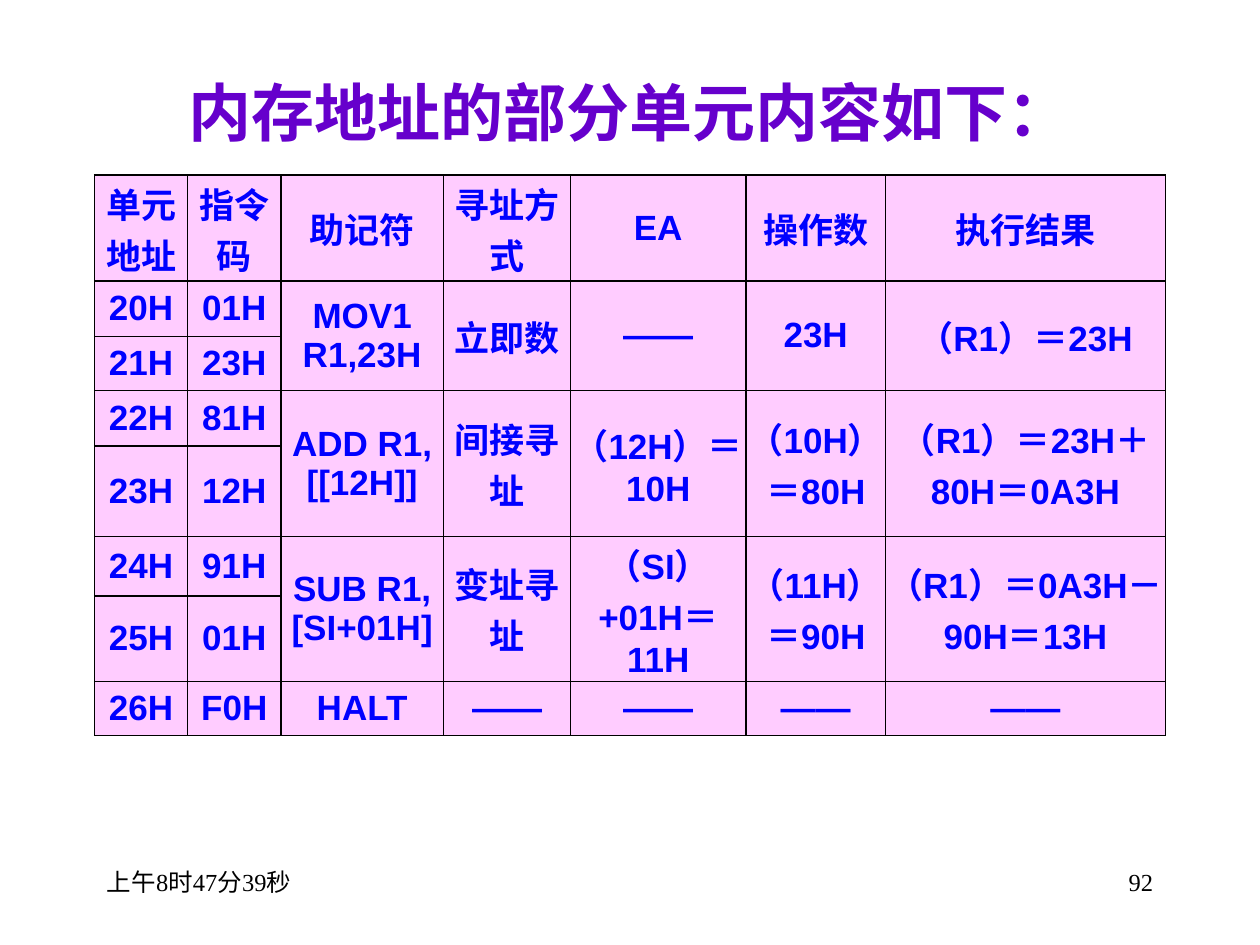
from lxml.etree import SubElement
from pptx import Presentation
from pptx.dml.color import RGBColor
from pptx.enum.text import MSO_ANCHOR, PP_ALIGN
from pptx.oxml.ns import qn
from pptx.util import Inches, Pt

TITLE_FORMAT = {"name": "Times New Roman", "size": Pt(36), "bold": True}
CELL_FORMAT = {"name": "Arial", "size": Pt(20), "bold": True}
FOOTER_FORMAT = {"name": "Times New Roman", "size": Pt(14), "bold": False}
MARGIN = Inches(0.02)
CELL_FRAME = {
    "vertical_anchor": MSO_ANCHOR.MIDDLE,
    "margin_left": MARGIN,
    "margin_right": MARGIN,
    "margin_top": MARGIN,
    "margin_bottom": MARGIN,
}

COLUMN_WIDTHS = [0.74, 0.74, 1.29, 1.01, 1.39, 1.11, 2.22]
ROW_HEIGHTS = [0.84, 0.44, 0.43, 0.44, 0.72, 0.47, 0.68, 0.43]
HEADINGS = ["单元地址", "指令码", "助记符", "寻址方式", "EA", "操作数", "执行结果"]
# Each instruction: its memory bytes, then the columns shared by those bytes.
INSTRUCTIONS = [
    ([("20H", "01H"), ("21H", "23H")],
     ["MOV1 R1,23H", "立即数", "――", "23H", "（R1）＝23H"]),
    ([("22H", "81H"), ("23H", "12H")],
     ["ADD R1, [[12H]]", "间接寻址", "（12H）＝10H", "（10H）＝80H",
      "（R1）＝23H＋80H＝0A3H"]),
    ([("24H", "91H"), ("25H", "01H")],
     ["SUB R1, [SI+01H]", "变址寻址", "（SI）+01H＝11H", "（11H）＝90H",
      "（R1）＝0A3H－90H＝13H"]),
    ([("26H", "F0H")], ["HALT", "――", "――", "――", "――"]),
]


def color(hex_value):
    return RGBColor.from_string(hex_value)


def set_attributes(target, values):
    for name, value in values.items():
        setattr(target, name, value)


def write(frame, text, font_format, hex_value, align):
    paragraph = frame.paragraphs[0]
    paragraph.alignment = align
    run = paragraph.add_run()
    run.text = text
    set_attributes(run.font, font_format)
    run.font.color.rgb = color(hex_value)


def add_text(slide, box, text, font_format, hex_value, align, anchor=MSO_ANCHOR.TOP):
    frame = slide.shapes.add_textbox(*map(Inches, box)).text_frame
    frame.word_wrap = True
    frame.vertical_anchor = anchor
    write(frame, text, font_format, hex_value, align)


def add_borders(cell, hex_value, width):
    properties = cell._tc.get_or_add_tcPr()
    for side in ("a:lnL", "a:lnR", "a:lnT", "a:lnB"):
        line = SubElement(properties, qn(side), w=str(width))
        fill = SubElement(line, qn("a:solidFill"))
        SubElement(fill, qn("a:srgbClr"), val=hex_value)


def write_row(table, row, first_column, texts):
    for column, text in enumerate(texts, first_column):
        write(table.cell(row, column).text_frame, text, CELL_FORMAT,
              "0000FF", PP_ALIGN.CENTER)


def add_memory_table(slide):
    table = slide.shapes.add_table(
        len(ROW_HEIGHTS), len(COLUMN_WIDTHS), Inches(0.75), Inches(1.39),
        Inches(sum(COLUMN_WIDTHS)), Inches(sum(ROW_HEIGHTS))).table
    table.first_row = table.horz_banding = False
    for column, width in zip(table.columns, COLUMN_WIDTHS):
        column.width = Inches(width)
    for row, height in zip(table.rows, ROW_HEIGHTS):
        row.height = Inches(height)
    for cell in table.iter_cells():
        set_attributes(cell, CELL_FRAME)
        add_borders(cell, "000000", Pt(1))
        cell.fill.solid()
        cell.fill.fore_color.rgb = color("FFCCFF")

    write_row(table, 0, 0, HEADINGS)
    row = 1
    for memory_bytes, details in INSTRUCTIONS:
        last_row = row + len(memory_bytes) - 1
        if last_row > row:
            for column in range(2, len(COLUMN_WIDTHS)):
                table.cell(row, column).merge(table.cell(last_row, column))
        write_row(table, row, 2, details)
        for offset, memory_byte in enumerate(memory_bytes):
            write_row(table, row + offset, 0, memory_byte)
        row = last_row + 1


def main():
    presentation = Presentation()
    presentation.slide_width = Inches(10)
    presentation.slide_height = Inches(7.5)
    slide = presentation.slides.add_slide(presentation.slide_layouts[6])
    add_text(slide, (0.75, 0.52, 8.5, 0.72), "内存地址的部分单元内容如下：",
             TITLE_FORMAT, "6600CC", PP_ALIGN.CENTER, MSO_ANCHOR.MIDDLE)
    add_memory_table(slide)
    add_text(slide, (0.75, 6.83, 2.08, 0.5), "上午8时47分39秒",
             FOOTER_FORMAT, "000000", PP_ALIGN.LEFT)
    add_text(slide, (7.17, 6.83, 2.08, 0.5), "92",
             FOOTER_FORMAT, "000000", PP_ALIGN.RIGHT)
    presentation.save("out.pptx")


if __name__ == "__main__":
    main()
